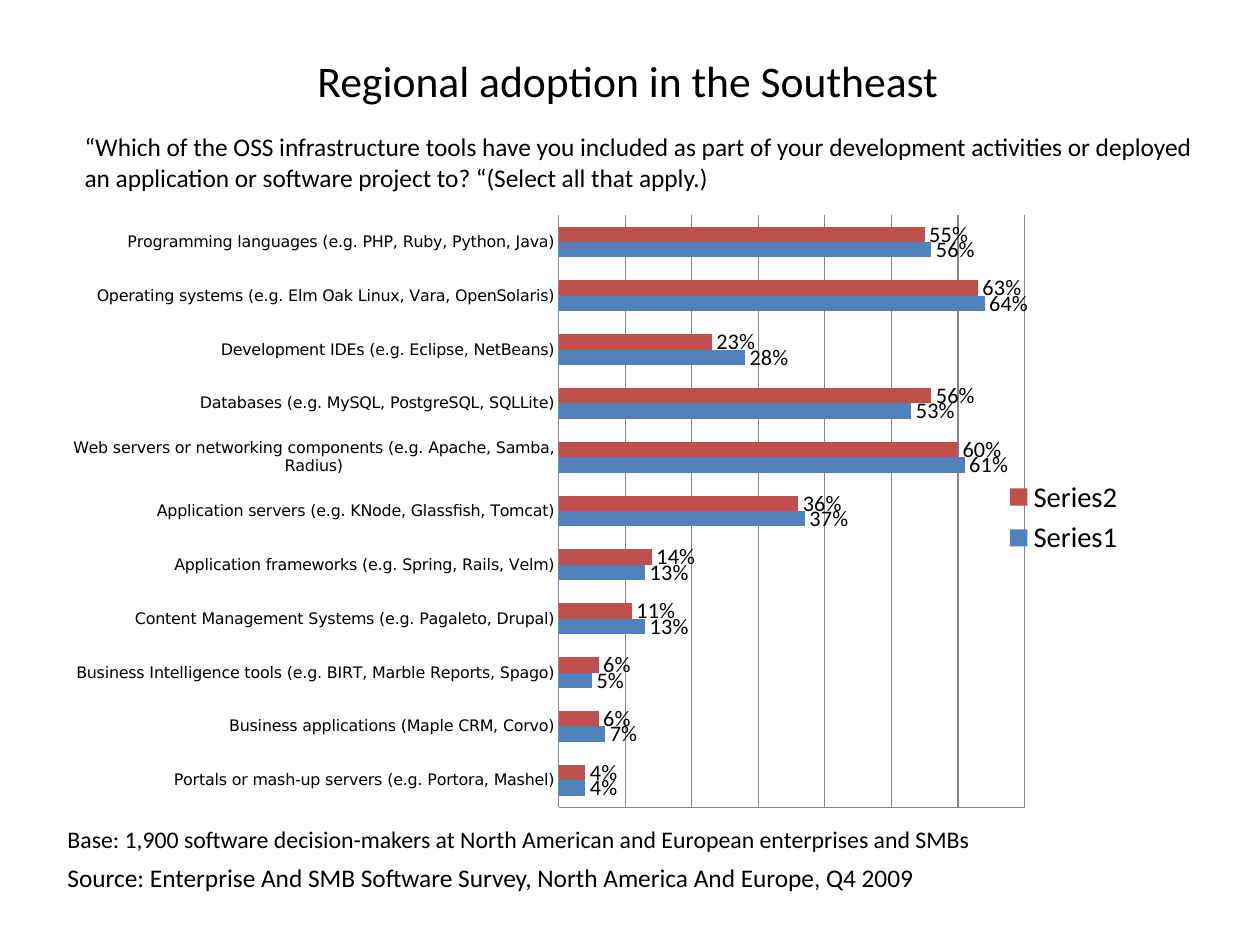
from typing import NamedTuple

from lxml.etree import SubElement
from pptx import Presentation
from pptx.chart.data import CategoryChartData as ChartData
from pptx.dml.color import RGBColor as Rgb
from pptx.enum.chart import XL_CHART_TYPE as Kind
from pptx.enum.chart import XL_LABEL_POSITION as Spot
from pptx.enum.chart import XL_LEGEND_POSITION as Side
from pptx.enum.chart import XL_TICK_LABEL_POSITION as Tags
from pptx.enum.chart import XL_TICK_MARK as Tick
from pptx.enum.text import MSO_ANCHOR as Anchor
from pptx.enum.text import PP_ALIGN as Align
from pptx.oxml.ns import qn
from pptx.util import Cm, Pt

HUES = {"ink": "000000", "grid": "878787", "blue": "4F81BD", "red": "C0504D"}

ROWS = [
    ("Portals or mash-up servers (e.g. Portora, Mashel)", 0.04, 0.04),
    ("Business applications (Maple CRM, Corvo)", 0.07, 0.06),
    ("Business Intelligence tools (e.g. BIRT, Marble Reports, Spago)", 0.05, 0.06),
    ("Content Management Systems (e.g. Pagaleto, Drupal)", 0.13, 0.11),
    ("Application frameworks (e.g. Spring, Rails, Velm)", 0.13, 0.14),
    ("Application servers (e.g. KNode, Glassfish, Tomcat)", 0.37, 0.36),
    ("Web servers or networking components (e.g. Apache, Samba, Radius)", 0.61, 0.6),
    ("Databases (e.g. MySQL, PostgreSQL, SQLLite)", 0.53, 0.56),
    ("Development IDEs (e.g. Eclipse, NetBeans)", 0.28, 0.23),
    ("Operating systems (e.g. Elm Oak Linux, Vara, OpenSolaris)", 0.64, 0.63),
    ("Programming languages (e.g. PHP, Ruby, Python, Java)", 0.56, 0.55),
]


class Note(NamedTuple):
    text: str
    box: tuple[float, float, float, float]
    size: float
    pad: tuple[float, float] = (0.25, 0.13)


NOTES = [
    Note("“Which of the OSS infrastructure tools have you included as part of "
         "your development activities or deployed an application or software "
         "project to? “(Select all that apply.)", (1.63, 2.79, 25.2, 1.6), 16),
    Note("Base: 1,900 software decision-makers at North American and European "
         "enterprises and SMBs", (1.25, 18.2, 26.7, 0.9), 15),
    Note("Source: Enterprise And SMB Software Survey, North America And Europe, "
         "Q4 2009", (1.5, 19.15, 25.04, 0.69), 16, (0, 0)),
]


def setall(item, form: dict) -> None:
    for key, val in form.items():
        setattr(item, key, val)


def ink(font, size: float, face: str = "Calibri") -> None:
    setall(font, {"size": Pt(size), "name": face, "bold": False})
    font.color.rgb = Rgb.from_string(HUES["ink"])


def rule(line) -> None:
    line.color.rgb = Rgb.from_string(HUES["grid"])
    line.width = Pt(0.75)


def write(slide, note: Note) -> None:
    frame = slide.shapes.add_textbox(*map(Cm, note.box)).text_frame
    wide, high = map(Cm, note.pad)
    setall(frame, {"word_wrap": True, "margin_left": wide, "margin_right": wide,
                   "margin_top": high, "margin_bottom": high})
    para = frame.paragraphs[0]
    para.text = note.text
    ink(para.runs[0].font, note.size)


def place(part, box: tuple[float, ...], outer: bool = False) -> None:
    """Set a manual layout, in fractions of the chart."""
    old = part.find(qn("c:layout"))
    if old is not None:
        part.remove(old)
    lay = SubElement(part, qn("c:layout"))
    man = SubElement(lay, qn("c:manualLayout"))
    vals = [("xMode", "edge"), ("yMode", "edge"), *zip("xywh", box)]
    if outer:
        vals.insert(0, ("layoutTarget", "outer"))
    for tag, val in vals:
        SubElement(man, qn(f"c:{tag}")).set("val", str(val))
    part.remove(lay)
    part.insert(0 if outer else 1, lay)


def draw(slide) -> None:
    names, blue, red = zip(*ROWS)
    data = ChartData(number_format="0%")
    data.categories = names
    data.add_series("Series1", blue)
    data.add_series("Series2", red)
    box = map(Cm, (1.63, 4.36, 24.87, 14))
    chart = slide.shapes.add_chart(Kind.BAR_CLUSTERED, *box, data).chart
    setall(chart, {"has_title": False, "has_legend": True})
    ink(chart.font, 10, "Arial")

    # Bars and their labels
    plot = chart.plots[0]
    setall(plot, {"gap_width": 150, "overlap": 0, "vary_by_categories": False})
    for bars, hue in zip(plot.series, ("blue", "red")):
        bars.format.fill.solid()
        bars.format.fill.fore_color.rgb = Rgb.from_string(HUES[hue])
        tags = bars.data_labels
        setall(tags, {"show_value": True, "position": Spot.OUTSIDE_END,
                      "number_format": "0%", "number_format_is_linked": False})
        ink(tags.font, 14)

    # Axes and grid
    cat, val = chart.category_axis, chart.value_axis
    for axis in (cat, val):
        setall(axis, {"major_tick_mark": Tick.NONE, "minor_tick_mark": Tick.NONE})
        rule(axis.format.line)
    ink(cat.tick_labels.font, 10, "DejaVu Sans")
    setall(val, {"minimum_scale": 0, "maximum_scale": 0.7, "major_unit": 0.1,
                 "has_major_gridlines": True, "tick_label_position": Tags.NONE})
    rule(val.major_gridlines.format.line)

    # Legend and layout
    key = chart.legend
    setall(key, {"position": Side.RIGHT, "include_in_layout": False})
    ink(key.font, 18)
    area = chart.element.find(".//" + qn("c:plotArea"))
    place(area, (0, 0.03, 0.85, 0.94), outer=True)
    place(chart.element.find(".//" + qn("c:legend")), (0.82, 0.44, 0.13, 0.14))


def main() -> None:
    deck = Presentation()
    setall(deck, {"slide_width": Cm(28), "slide_height": Cm(21)})
    slide = deck.slides.add_slide(deck.slide_layouts[5])

    draw(slide)

    # Title
    title = slide.shapes.title
    setall(title, dict(zip(("left", "top", "width", "height"),
                           map(Cm, (1.35, 1.15, 25.2, 1.27)))))
    title.text_frame.text = "Regional adoption in the Southeast"
    title.text_frame.vertical_anchor = Anchor.MIDDLE
    para = title.text_frame.paragraphs[0]
    para.alignment = Align.CENTER
    ink(para.runs[0].font, 27.5)

    # Question and sources
    for note in NOTES:
        write(slide, note)
    deck.save("out.pptx")


if __name__ == "__main__":
    main()
